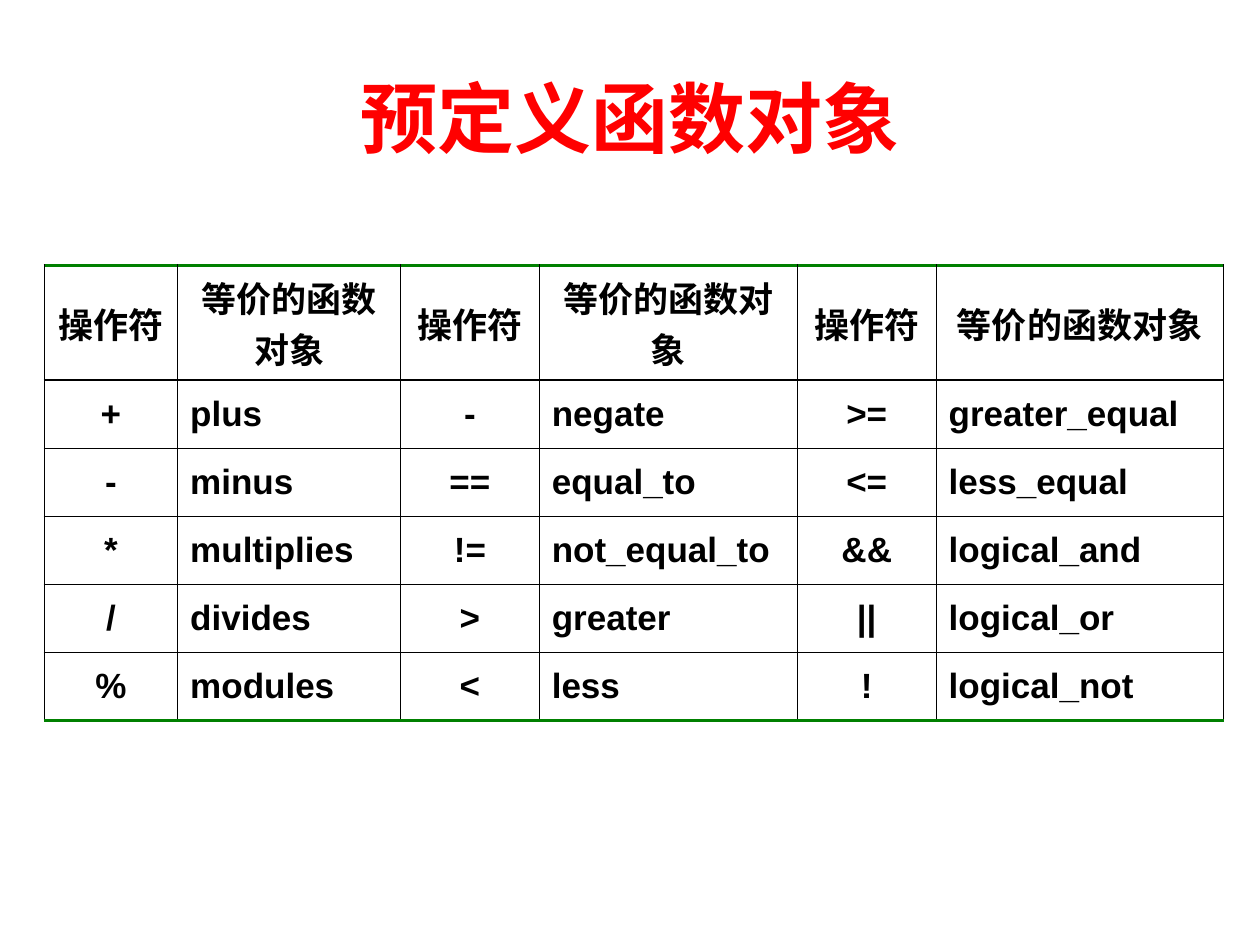
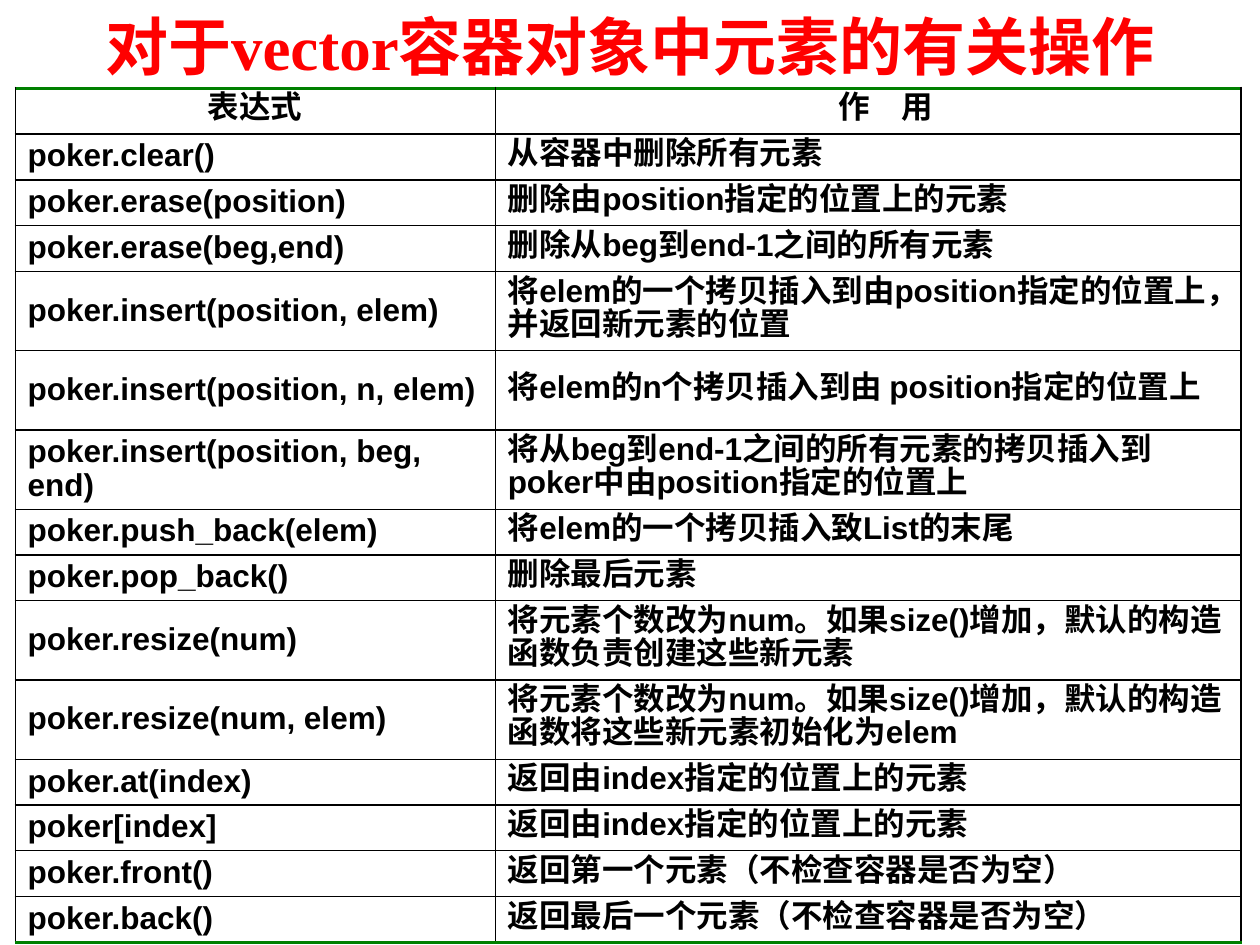
from lxml import etree
from pptx import Presentation
from pptx.dml.color import RGBColor
from pptx.enum import text
from pptx.oxml import ns
from pptx.util import Inches, Pt

C = {"title": "FF0000", "ink": "000000", "rule": "008000", "paper": "FFFFFF"}
LATIN, SERIF, CJK = "Arial", "Times New Roman", "Noto Sans CJK SC"
CENTER, LEFT = text.PP_ALIGN.CENTER, text.PP_ALIGN.LEFT
TOP, MIDDLE = text.MSO_ANCHOR.TOP, text.MSO_ANCHOR.MIDDLE

OPERATOR_HEAD = ("操作符", "等价的函数对象") * 3
OPERATORS = [
    ("+", "plus", "-", "negate", ">=", "greater_equal"),
    ("-", "minus", "==", "equal_to", "<=", "less_equal"),
    ("*", "multiplies", "!=", "not_equal_to", "&&", "logical_and"),
    ("/", "divides", ">", "greater", "||", "logical_or"),
    ("%", "modules", "<", "less", "!", "logical_not"),
]
VECTOR_HEAD = ("表达式", "作\u3000用")
VECTOR_OPS = [
    ("poker.clear()", "从容器中删除所有元素"),
    ("poker.erase(position)", "删除由position指定的位置上的元素"),
    ("poker.erase(beg,end)", "删除从beg到end-1之间的所有元素"),
    ("poker.insert(position, elem)",
     "将elem的一个拷贝插入到由position指定的位置上，并返回新元素的位置"),
    ("poker.insert(position, n, elem)",
     "将elem的n个拷贝插入到由 position指定的位置上"),
    ("poker.insert(position, beg, end)",
     "将从beg到end-1之间的所有元素的拷贝插入到poker中由position指定的位置上"),
    ("poker.push_back(elem)", "将elem的一个拷贝插入致List的末尾"),
    ("poker.pop_back()", "删除最后元素"),
    ("poker.resize(num)",
     "将元素个数改为num。如果size()增加，默认的构造函数负责创建这些新元素"),
    ("poker.resize(num, elem)",
     "将元素个数改为num。如果size()增加，默认的构造函数将这些新元素初始化为elem"),
    ("poker.at(index)", "返回由index指定的位置上的元素"),
    ("poker[index]", "返回由index指定的位置上的元素"),
    ("poker.front()", "返回第一个元素（不检查容器是否为空）"),
    ("poker.back()", "返回最后一个元素（不检查容器是否为空）"),
]
TWO_LINE_ROWS = (4, 6, 9, 10)


def add_run(p, words, size, font, color):
    """Add one bold run with its Latin and East Asian fonts."""
    r = p.add_run()
    r.text = words
    r.font.size, r.font.bold, r.font.name = Pt(size), True, font
    r.font.color.rgb = RGBColor.from_string(C[color])
    ea = etree.SubElement(r.font._element, ns.qn("a:ea"))
    ea.set("typeface", CJK)


def add_slide(prs, title, top, height, size):
    """Add a title-only slide with the shared red title."""
    s = prs.slides.add_slide(prs.slide_layouts[5])
    sp = s.shapes.title
    sp.left, sp.top = Inches(0.5), Inches(top)
    sp.width, sp.height = Inches(9), Inches(height)
    tf = sp.text_frame
    tf.word_wrap, tf.auto_size = True, text.MSO_AUTO_SIZE.NONE
    tf.vertical_anchor = MIDDLE
    p = tf.paragraphs[0]
    p.alignment = CENTER
    add_run(p, title, size, SERIF, "title")
    return s


def set_border(cell, edges):
    """Draw cell edges given as (tag, colour, points) in schema order."""
    tc_pr = cell._tc.get_or_add_tcPr()
    for i, (tag, color, width) in enumerate(edges):
        ln = etree.Element(ns.qn(f"a:{tag}"), w=str(Pt(width)))
        fill = etree.SubElement(ln, ns.qn("a:solidFill"))
        etree.SubElement(fill, ns.qn("a:srgbClr"), val=C[color])
        tc_pr.insert(i, ln)


def row_edges(row, last):
    """Return the edges of a row: green outside, thin black inside."""
    top = ("rule", 2) if row == 0 else ("ink", 1 if row == 1 else 0.75)
    bottom = ("rule", 2) if row == last else ("ink", 1 if row == 0 else 0.75)
    return [("lnL", "ink", 0.75), ("lnR", "ink", 0.75),
            ("lnT", *top), ("lnB", *bottom)]


def add_grid(s, rows, left, top, widths, heights):
    """Add a white ruled table and return it with its cells empty."""
    shape = s.shapes.add_table(len(rows), len(widths), Inches(left), Inches(top),
                               Inches(sum(widths)), Inches(sum(heights)))
    table = shape.table
    table.first_row = table.horz_banding = False
    for column, width in zip(table.columns, widths):
        column.width = Inches(width)
    for i, height in enumerate(heights):
        table.rows[i].height = Inches(height)
        for cell in table.rows[i].cells:
            cell.fill.solid()
            cell.fill.fore_color.rgb = RGBColor.from_string(C["paper"])
            set_border(cell, row_edges(i, len(rows) - 1))
    return table


def fill_cell(cell, words, size, font, align, anchor=MIDDLE, spacing=None):
    """Write one paragraph into a table cell."""
    cell.vertical_anchor = anchor
    p = cell.text_frame.paragraphs[0]
    p.alignment = align
    if spacing:
        p.line_spacing = Pt(spacing)
    add_run(p, words, size, font, "ink")
    return p


def operators_slide(prs):
    """Build the slide of predefined function objects."""
    s = add_slide(prs, "预定义函数对象", 0.3, 1.25, 44)
    rows = [OPERATOR_HEAD, *OPERATORS]
    table = add_grid(s, rows, 0.35, 2.11, [1.06, 1.77, 1.1, 2.05, 1.1, 2.28],
                     [0.61] + [0.54] * len(OPERATORS))
    for i, row in enumerate(rows):
        for j, words in enumerate(row):
            align = CENTER if i == 0 or j % 2 == 0 else LEFT
            p = fill_cell(table.cell(i, j), words, 20, LATIN if i else CJK, align)
            if i:
                p_pr = p._p.get_or_add_pPr()
                p_pr.set("marL", str(Inches(0.38)))
                p_pr.set("indent", str(-Inches(0.38)))


def vector_slide(prs):
    """Build the slide of vector element operations."""
    s = add_slide(prs, "对于vector容器对象中元素的有关操作", 0.13, 0.46, 36)
    rows = [VECTOR_HEAD, *VECTOR_OPS]
    heights = [0.5 if i in TWO_LINE_ROWS else 0.3 for i in range(len(rows))]
    table = add_grid(s, rows, 0.12, 0.7, [3.81, 5.92], heights)
    for i, row in enumerate(rows):
        align, anchor = (LEFT, MIDDLE) if i else (CENTER, TOP)
        for j, words in enumerate(row):
            fill_cell(table.cell(i, j), words, 18, LATIN, align, anchor, 19)
    table.cell(0, 1).margin_left = Inches(0.38)


def main():
    """Build and save the presentation."""
    prs = Presentation()
    prs.slide_width, prs.slide_height = Inches(10), Inches(7.5)
    operators_slide(prs)
    vector_slide(prs)
    prs.save("out.pptx")


main()
